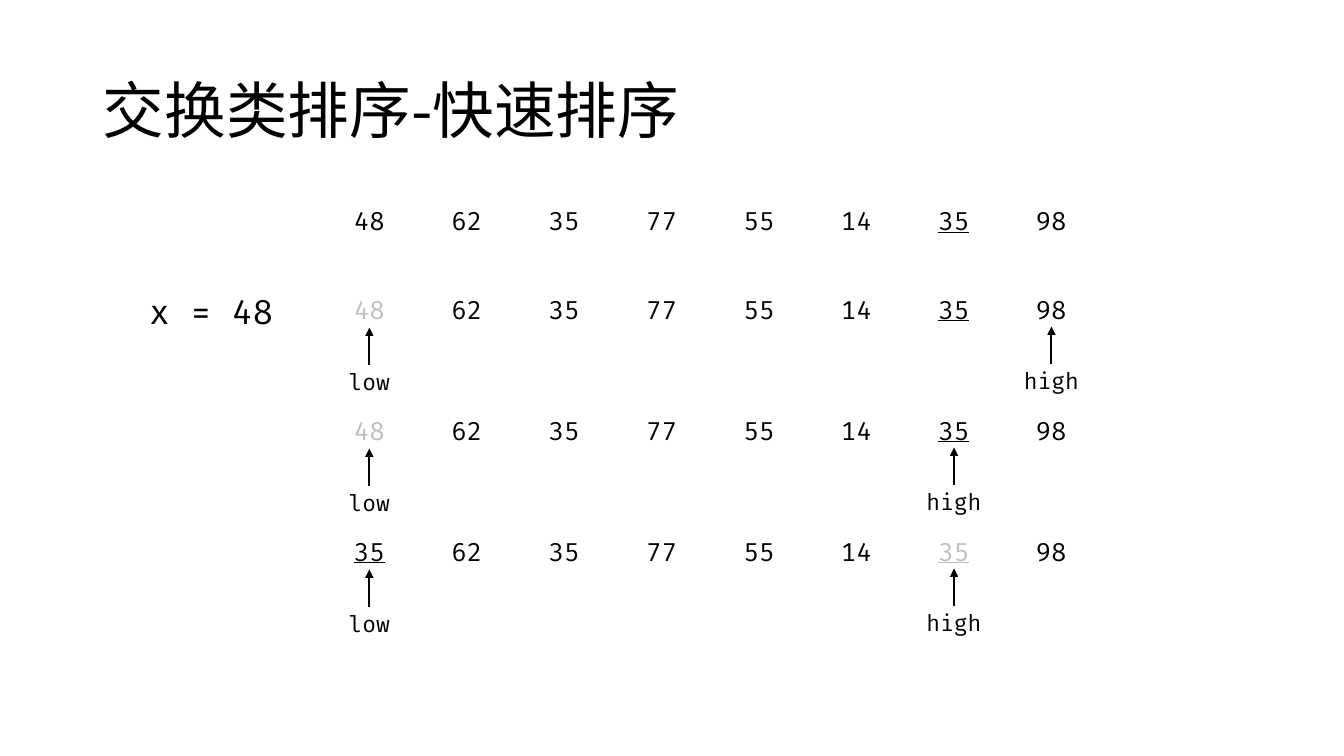
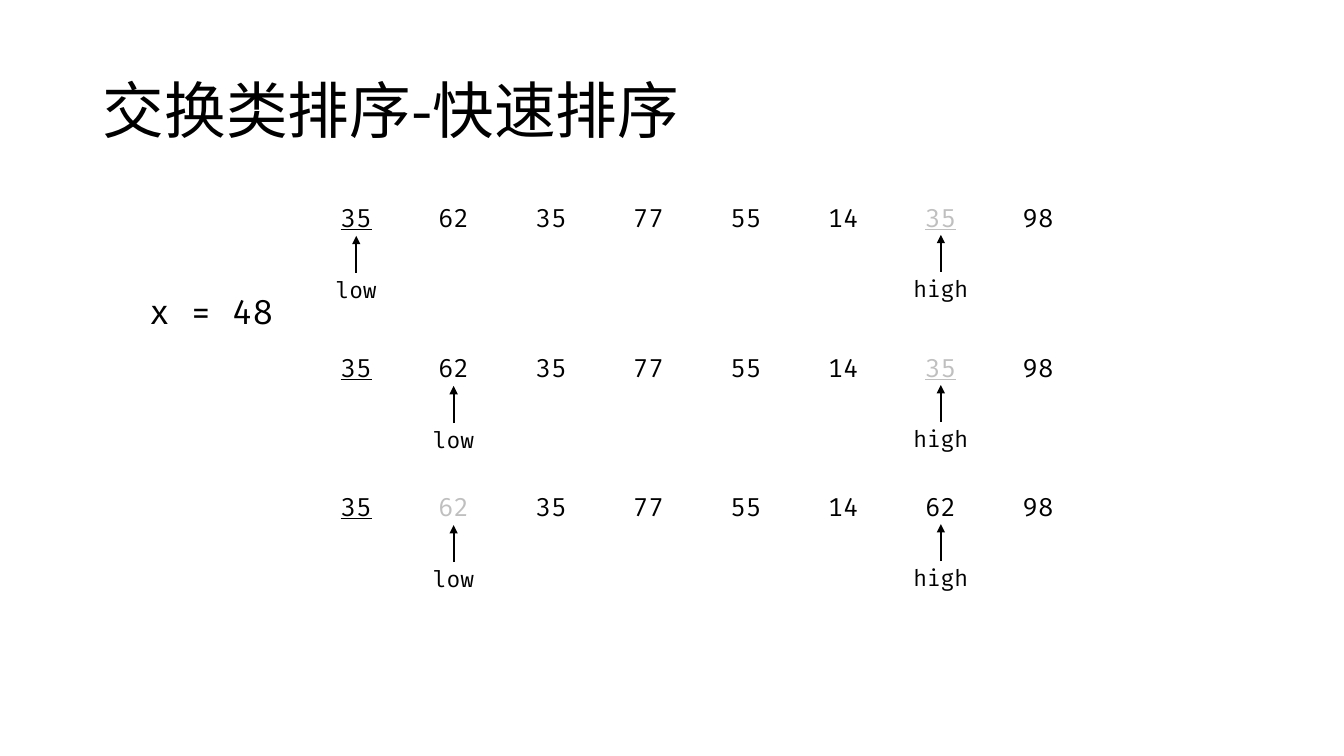
import pptx
import pptx.dml.color
import pptx.enum.shapes
import pptx.enum.text
import pptx.oxml.ns
import pptx.util
import lxml.etree
from dataclasses import dataclass


@dataclass(frozen=True)
class Theme:
    ink: str = "000000"
    faded: str = "BFBFBF"
    head: str = "Noto Sans CJK SC"
    mono: str = "Fira Code"
    title: int = 44
    pivot: int = 24
    value: int = 18
    label: int = 16
    line: float = 1.5


THEME = Theme()
WIDE = pptx.util.Inches(13.33)
HIGH = pptx.util.Inches(7.5)
STEP = 7.25
DEEP = 8.8
DROP = {"low": 6.53, "high": 6.4}
TITLE = "交换类排序-快速排序"
PIVOT = "x = 48"

SLIDES = [
    (23.86, [
        (25.07, "48 62 35 77 55 14 35_ 98", {}),
        (36.8, "48~ 62 35 77 55 14 35_ 98", {"low": 0, "high": 7}),
        (52.8, "48~ 62 35 77 55 14 35_ 98", {"low": 0, "high": 6}),
        (68.8, "35_ 62 35 77 55 14 35_~ 98", {"low": 0, "high": 6}),
    ]),
    (22.88, [
        (24.67, "35_ 62 35 77 55 14 35_~ 98", {"low": 0, "high": 6}),
        (44.53, "35_ 62 35 77 55 14 35_~ 98", {"low": 1, "high": 6}),
        (62.93, "35_ 62~ 35 77 55 14 62 98", {"low": 1, "high": 6}),
    ]),
]


def across(share):
    return round(WIDE * share / 100)


def down(share):
    return round(HIGH * share / 100)


def place(left, top, width, height):
    return across(left), down(top), across(width), down(height)


def assign(target, values):
    for name, value in values.items():
        setattr(target, name, value)


def write(frame, text, size, face=THEME.mono, tone=THEME.ink,
          align=pptx.enum.text.PP_ALIGN.CENTER, **extra):
    para = frame.paragraphs[0]
    para.alignment = align
    run = para.add_run()
    run.text = text
    assign(run.font, {"size": pptx.util.Pt(size), "name": face, **extra})
    run.font.color.rgb = pptx.dml.color.RGBColor.from_string(tone)
    return run


def head(slide):
    shape = slide.shapes.title
    left, top, width, height = place(6.9, 5.33, 86.25, 19.33)
    assign(shape, {"left": left, "top": top, "width": width, "height": height})
    frame = shape.text_frame
    assign(frame, {"vertical_anchor": pptx.enum.text.MSO_ANCHOR.MIDDLE,
                   "auto_size": pptx.enum.text.MSO_AUTO_SIZE.NONE,
                   "word_wrap": True})
    run = write(frame, TITLE, THEME.title, THEME.head,
                align=pptx.enum.text.PP_ALIGN.LEFT)
    frame.paragraphs[0].line_spacing = 0.9
    east = lxml.etree.SubElement(run.font._element, pptx.oxml.ns.qn("a:ea"))
    east.set("typeface", THEME.head)


def note(shapes, text, size, box):
    frame = shapes.add_textbox(*place(*box)).text_frame
    assign(frame, {"word_wrap": True,
                   "auto_size": pptx.enum.text.MSO_AUTO_SIZE.SHAPE_TO_FIT_TEXT})
    write(frame, text, size)


def array(shapes, left, top, items):
    box = place(left, top, STEP * len(items), DEEP)
    table = shapes.add_table(1, len(items), *box).table
    assign(table, {"first_row": False, "horz_banding": False})
    side, edge = pptx.util.Inches(0.08), pptx.util.Inches(0.04)
    for cell, item in zip(table.rows[0].cells, items):
        assign(cell, {"margin_left": side, "margin_right": side,
                      "margin_top": edge, "margin_bottom": edge,
                      "vertical_anchor": pptx.enum.text.MSO_ANCHOR.MIDDLE})
        cell.fill.background()
        write(cell.text_frame, item.strip("_~"), THEME.value,
              tone=THEME.faded if "~" in item else THEME.ink,
              underline="_" in item)


def arrow(shapes, x, start, end):
    line = shapes.add_connector(pptx.enum.shapes.MSO_CONNECTOR.STRAIGHT,
                                across(x), down(start), across(x), down(end))
    line.line.width = pptx.util.Pt(THEME.line)
    line.line.color.rgb = pptx.dml.color.RGBColor.from_string(THEME.ink)
    props = line._element.spPr
    name = pptx.oxml.ns.qn
    tail = lxml.etree.SubElement(props.find(name("a:ln")), name("a:tailEnd"))
    tail.set("type", "triangle")
    lxml.etree.SubElement(props, name("a:effectLst"))


def pointer(slide, text, x, top):
    shapes = slide.shapes.add_group_shape().shapes
    arrow(shapes, x, top + 4.9, top)
    note(shapes, text, THEME.label, (x - 4.73, top + 4.67, 9.45, 4.93))


def build(deck, left, steps):
    slide = deck.slides.add_slide(deck.slide_layouts.get_by_name("Title Only"))
    head(slide)
    note(slide.shapes, PIVOT, THEME.pivot, (9.68, 37.87, 12.08, 6.67))
    for top, values, marks in steps:
        array(slide.shapes, left, top, values.split())
        for text, index in marks.items():
            pointer(slide, text, left + STEP * (index + 0.5), top + DROP[text])


def main():
    deck = pptx.Presentation()
    assign(deck, {"slide_width": WIDE, "slide_height": HIGH})
    for left, steps in SLIDES:
        build(deck, left, steps)
    deck.save("out.pptx")


main()
